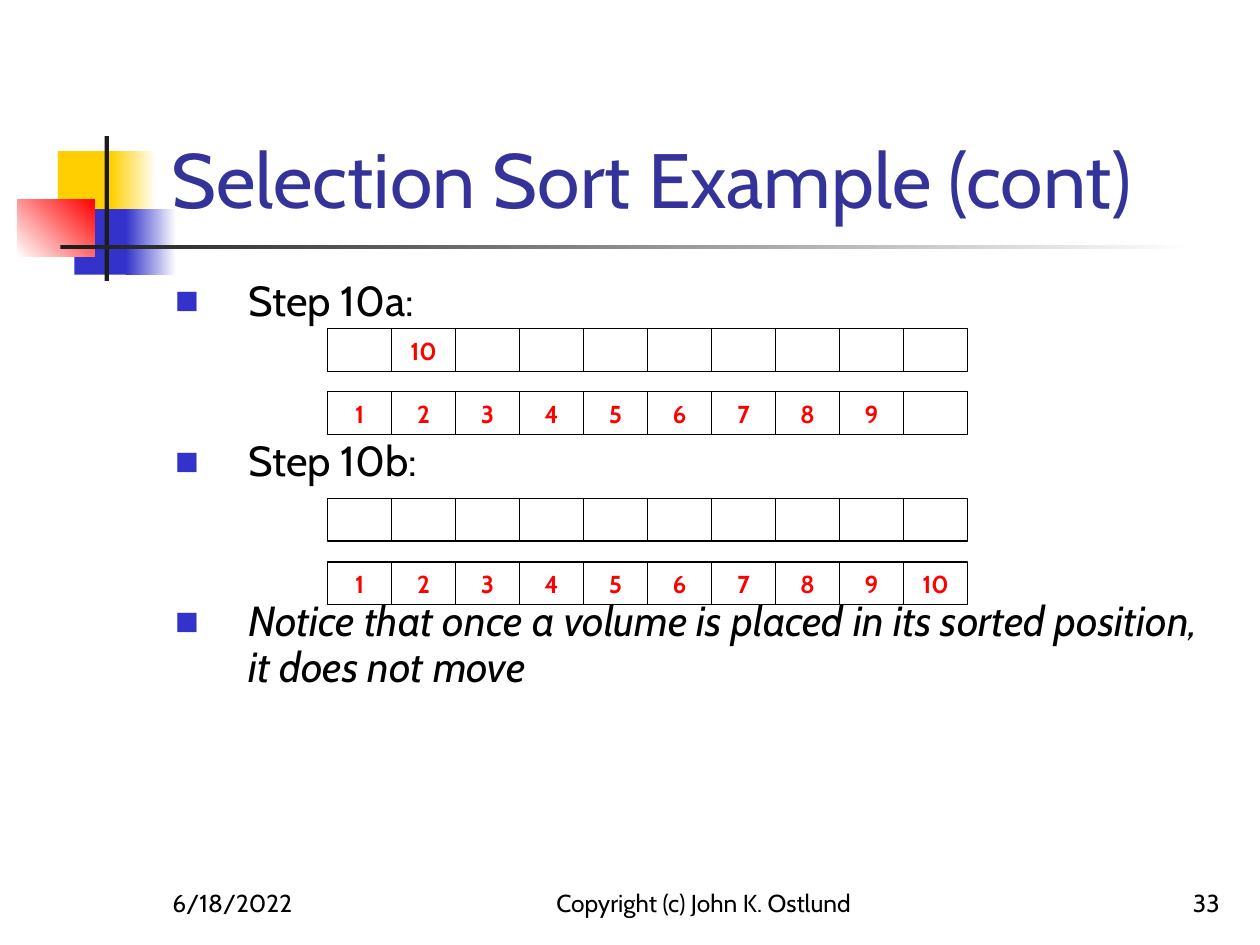
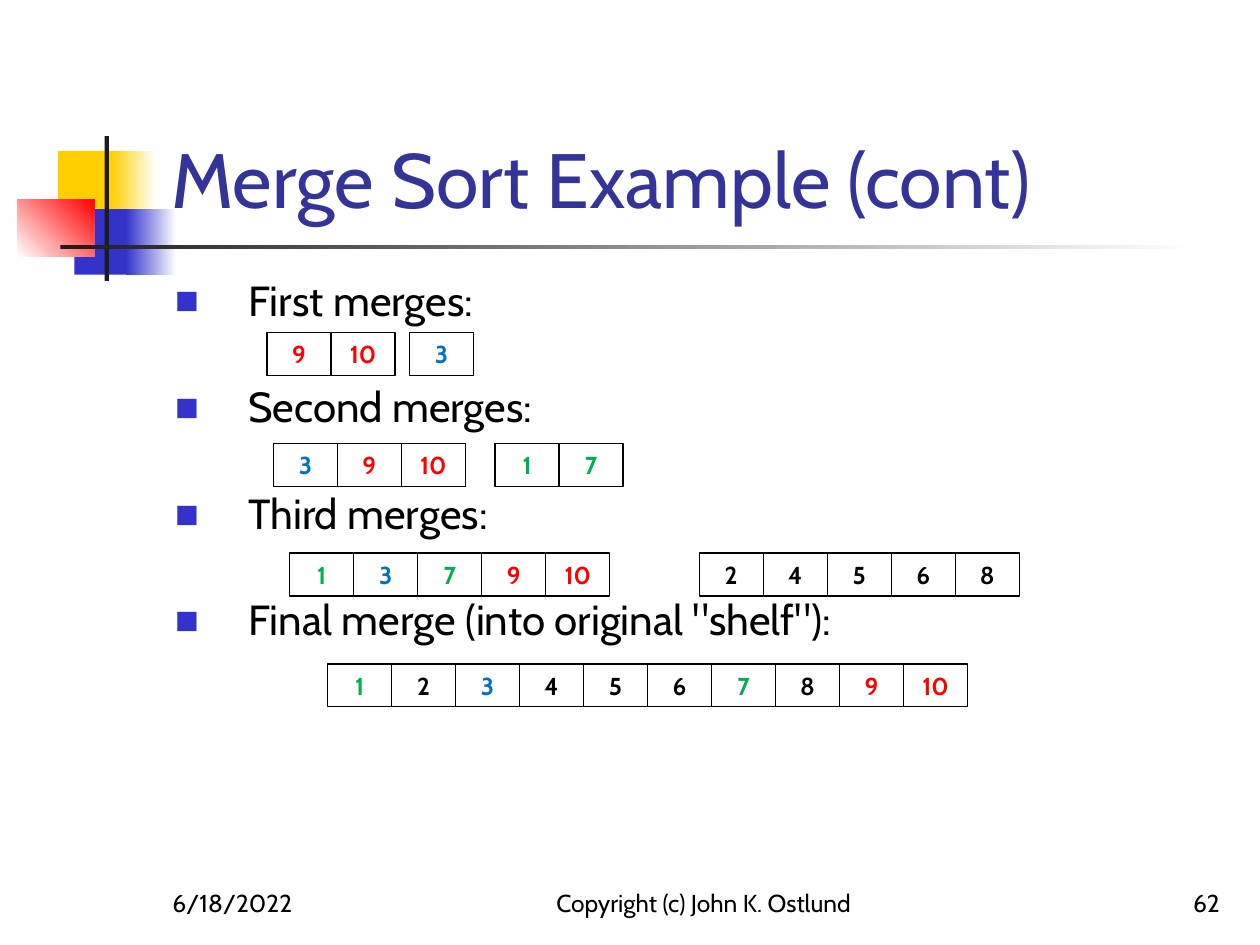
"""Build two slides that show steps of selection sort and merge sort."""
from lxml import etree
from pptx import Presentation
from pptx.dml.color import RGBColor
from pptx.enum.shapes import MSO_SHAPE
from pptx.enum.text import MSO_ANCHOR, MSO_AUTO_SIZE, PP_ALIGN
from pptx.oxml.ns import qn
from pptx.util import Inches, Pt

RECTANGLE = MSO_SHAPE.RECTANGLE
LEFT, CENTER, RIGHT = PP_ALIGN.LEFT, PP_ALIGN.CENTER, PP_ALIGN.RIGHT
TOP, MIDDLE, BOTTOM = MSO_ANCHOR.TOP, MSO_ANCHOR.MIDDLE, MSO_ANCHOR.BOTTOM
NO_AUTOFIT = MSO_AUTO_SIZE.NONE

COLUMNS, ROWS = 100, 75
CELL_WIDTH, CELL_HEIGHT = 5.08, 3.4
FONT = "Cabin"
BLACK, WHITE, INK = "000000", "FFFFFF", "1C1C1C"
NAVY, INDIGO, YELLOW = "333399", "3333CC", "FFCF01"
RED, BLUE, GREEN = "FF0000", "0070C0", "00B050"

ORNAMENTS = [
    ((4.6, 12, 4.8, 5.2), [YELLOW], 0),
    ((8.8, 12, 3.6, 5.2), [YELLOW, WHITE], 0),
    ((5.9, 16.6, 4.6, 5.2), [INDIGO], 0),
    ((10, 16.6, 4, 5.2), [INDIGO, WHITE], 0),
    ((1.4, 15.8, 6.1, 4.6), [WHITE, RED], 45),
    ((8.3, 10.8, 0.35, 11.5), [INK], 0),
    ((4.8, 19.45, 90, 0.35), [INK, WHITE], 0),
]
DATE = "6/18/2022"
COPYRIGHT = "Copyright (c) John K. Ostlund"
MERGE_COLORS = {1: GREEN, 7: GREEN, 3: BLUE, 9: RED, 10: RED}


def rgb(color):
    """Turn a hex string into a colour."""
    return RGBColor.from_string(color)


class SortDeck:
    """Hold the style and the current slide, and draw each kind of element."""

    def __init__(self):
        """Start an empty deck of 10 by 7.5 inches."""
        self.deck = Presentation()
        self.deck.slide_width, self.deck.slide_height = Inches(10), Inches(7.5)
        self.page = None

    def place(self, left, top, width, height):
        """Convert grid columns and rows to slide lengths."""
        column = self.deck.slide_width / COLUMNS
        row = self.deck.slide_height / ROWS
        return (round(left * column), round(top * row),
                round(width * column), round(height * row))

    def move(self, shape, *area):
        """Put a placeholder in a grid area, in front of earlier shapes."""
        shape.left, shape.top, shape.width, shape.height = self.place(*area)
        shape.element.getparent().append(shape.element)

    def style(self, frame, size, color=BLACK, align=LEFT, anchor=TOP, bold=False):
        """Format all the text of a frame."""
        frame.word_wrap = True
        frame.auto_size = NO_AUTOFIT
        frame.vertical_anchor = anchor
        for paragraph in frame.paragraphs:
            paragraph.alignment = align
            for span in paragraph.runs:
                span.font.name, span.font.size = FONT, Pt(size)
                span.font.bold = bold
                span.font.color.rgb = rgb(color)

    def rectangle(self, *area):
        """Add a plain rectangle without a shadow."""
        box = self.page.shapes.add_shape(RECTANGLE, *self.place(*area))
        box.shadow.inherit = False
        return box

    def ornament(self, area, colors, angle):
        """Add a borderless block with a solid or gradient fill."""
        block = self.rectangle(*area)
        block.line.fill.background()
        if len(colors) == 1:
            block.fill.solid()
            block.fill.fore_color.rgb = rgb(colors[0])
            return
        block.fill.gradient()
        block.fill.gradient_angle = angle
        for stop, color in zip(block.fill.gradient_stops, colors):
            stop.color.rgb = rgb(color)

    def footer(self, left, width, text, align):
        """Add one piece of the footer line."""
        box = self.page.shapes.add_textbox(*self.place(left, 68.3, width, 5))
        box.text_frame.text = text
        self.style(box.text_frame, 14, align=align, anchor=BOTTOM)

    def start_page(self, title, number):
        """Add a slide with the shared ornaments, title and footer."""
        self.page = self.deck.slides.add_slide(self.deck.slide_layouts[1])
        for ornament in ORNAMENTS:
            self.ornament(*ornament)
        heading = self.page.shapes.title
        self.move(heading, 12.6, 2.3, 85.2, 16)
        heading.text_frame.text = title
        self.style(heading.text_frame, 44, NAVY, anchor=BOTTOM)
        self.footer(77, 20.8, str(number), RIGHT)
        self.footer(12.7, 20.8, DATE, LEFT)
        self.footer(40, 31.7, COPYRIGHT, CENTER)

    def bullet(self, paragraph):
        """Give a paragraph a square bullet and a hanging indent."""
        properties = paragraph._p.get_or_add_pPr()
        properties.set("marL", str(Inches(0.58)))
        properties.set("indent", str(-Inches(0.58)))
        color = etree.SubElement(properties, qn("a:buClr"))
        etree.SubElement(color, qn("a:srgbClr"), val=INDIGO)
        etree.SubElement(properties, qn("a:buSzPct"), val="60000")
        etree.SubElement(properties, qn("a:buFont"), typeface=FONT)
        etree.SubElement(properties, qn("a:buChar"), char="■")

    def bullets(self, lines, gap):
        """Fill the body with bulleted lines, leaving room for number rows."""
        body = self.page.placeholders[1]
        self.move(body, 12.9, 21.7, 85, 45)
        frame = body.text_frame
        frame.text = "\n".join(lines)
        for index, paragraph in enumerate(frame.paragraphs):
            self.bullet(paragraph)
            paragraph.line_spacing = 0.9
            paragraph.space_before = Pt(gap if index else 0)
        self.style(frame, 24)
        return frame

    def numbers(self, left, top, values, colors):
        """Draw a row of cells, leaving a cell empty where its value is None."""
        for index, value in enumerate(values):
            cell = self.rectangle(left + index * CELL_WIDTH, top, CELL_WIDTH, CELL_HEIGHT)
            cell.fill.background()
            cell.line.color.rgb = rgb(BLACK)
            cell.line.width = Pt(0.75)
            if value is not None:
                cell.text_frame.text = str(value)
                self.style(cell.text_frame, 14, colors.get(value, BLACK),
                           CENTER, MIDDLE, bold=True)


def selection_sort(slides):
    """Show the last step of selection sort."""
    slides.start_page("Selection Sort Example (cont)", 33)
    frame = slides.bullets([
        "Step 10a:",
        "Step 10b:",
        "Notice that once a volume is placed in its sorted position, it does not move",
    ], gap=65.7)
    frame.paragraphs[-1].runs[0].font.italic = True
    colors = dict.fromkeys(range(1, 11), RED)
    empty = [None] * 10
    shelves = [
        (26.1, [None, 10] + empty[2:]),
        (31.1, [*range(1, 10), None]),
        (39.55, empty),
        (44.6, range(1, 11)),
    ]
    for top, values in shelves:
        slides.numbers(26, top, values, colors)


def merge_sort(slides):
    """Show the merges of merge sort."""
    slides.start_page("Merge Sort Example (cont)", 62)
    slides.bullets([
        "First merges:",
        "Second merges:",
        "Third merges:",
        'Final merge (into original "shelf"):',
    ], gap=35)
    runs = [
        (21.2, 26.4, [9, 10]),
        (32.5, 26.4, [3]),
        (21.7, 35.2, [3, 9, 10]),
        (39.3, 35.2, [1, 7]),
        (23, 43.9, [1, 3, 7, 9, 10]),
        (55.5, 43.9, [2, 4, 5, 6, 8]),
        (26, 52.7, range(1, 11)),
    ]
    for left, top, values in runs:
        slides.numbers(left, top, values, MERGE_COLORS)


def main():
    """Build and save the deck."""
    slides = SortDeck()
    selection_sort(slides)
    merge_sort(slides)
    slides.deck.save("out.pptx")


if __name__ == "__main__":
    main()
